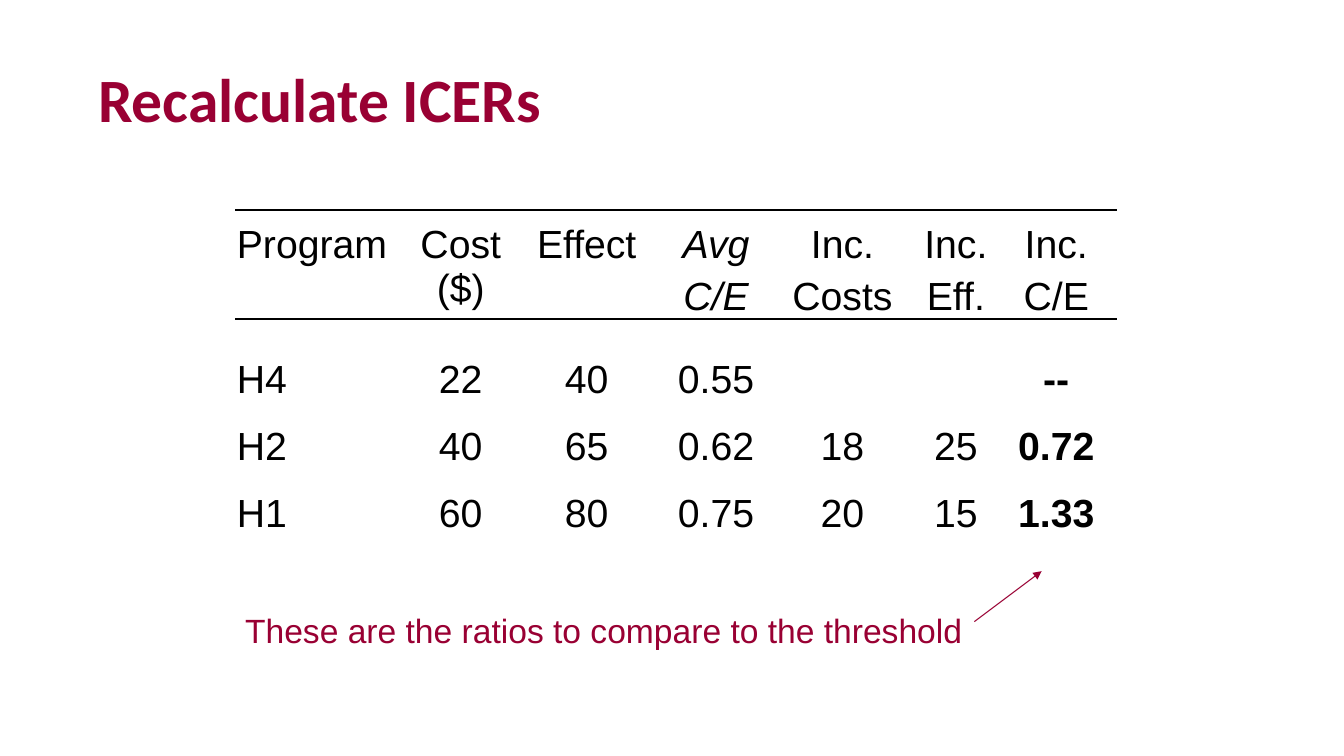
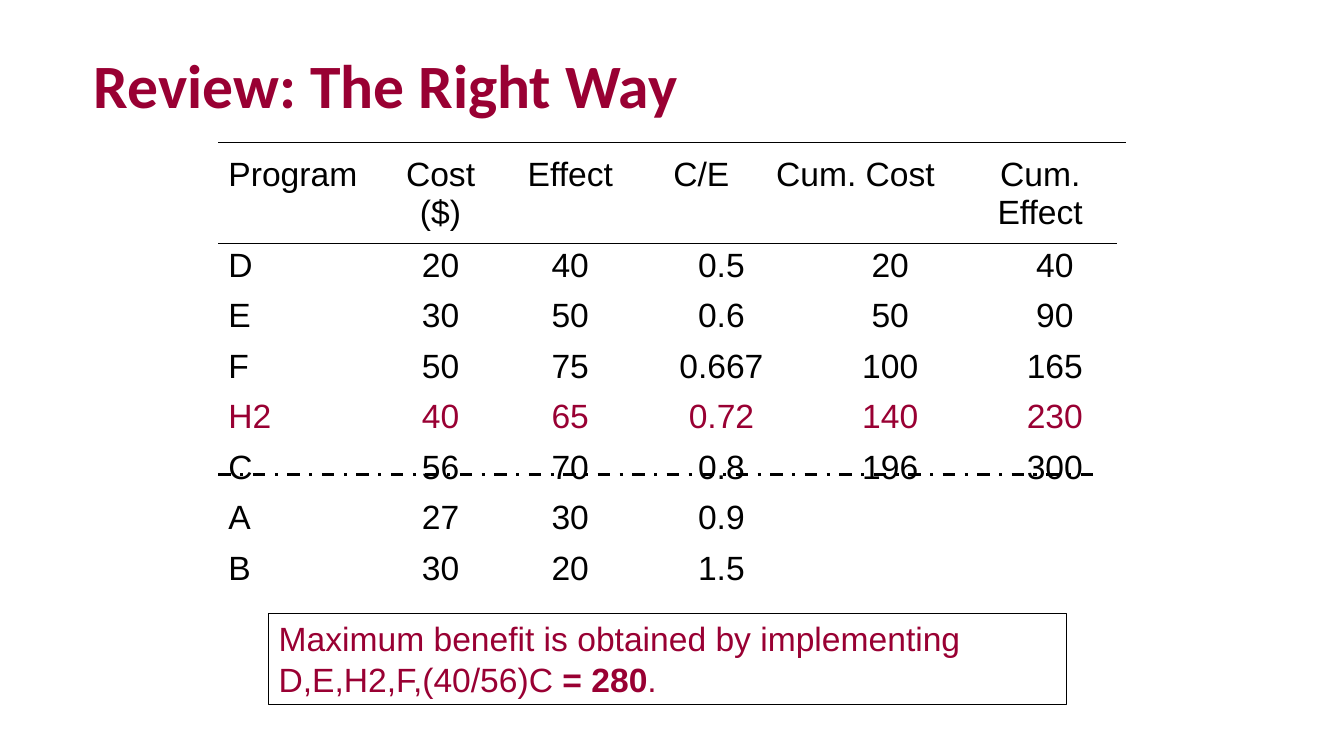
from lxml import etree
from pptx import Presentation
from pptx import util as u
from pptx.dml.color import RGBColor
from pptx.enum import dml, shapes, text
from pptx.oxml.ns import qn

WINE = RGBColor(0x99, 0x00, 0x33)
BLACK = RGBColor(0x00, 0x00, 0x00)
LEFT, MID = text.PP_ALIGN.LEFT, text.PP_ALIGN.CENTER
COLS, ROWS = 160, 90  # slide grid: square units of 1/12 inch


def unit(n):
    return u.Emu(round(n * u.Inches(1) / 12))


def write(frame, words, size=24, color=BLACK, font="Arial", bold=False,
          italic=False, align=LEFT, spacing=None):
    """Fill a frame; words is text with line ends, or (text, bold) runs."""
    frame.word_wrap = True
    paras = ([[(line, bold)] for line in words.split("\n")]
             if isinstance(words, str) else [words])
    for i, runs in enumerate(paras):
        para = frame.paragraphs[0] if i == 0 else frame.add_paragraph()
        para.alignment = align
        if spacing:
            para.line_spacing = spacing
        if i:
            para.space_before = u.Pt(round(size * 0.2, 1))
        for part, heavy in runs:
            run = para.add_run()
            run.text = part
            run.font.size, run.font.name = u.Pt(size), font
            run.font.bold, run.font.italic = heavy, italic
            run.font.color.rgb = color


def label(slide, box, words, anchor=text.MSO_ANCHOR.TOP, **style):
    shape = slide.shapes.add_textbox(*map(unit, box))
    shape.text_frame.vertical_anchor = anchor
    write(shape.text_frame, words, **style)
    return shape


def title(slide, box, words):
    label(slide, box, words, anchor=text.MSO_ANCHOR.MIDDLE, size=44,
          color=WINE, font="Calibri", bold=True, spacing=0.9)


def rule(slide, start, end, color=BLACK, width=1, dash=None, arrow=False):
    line = slide.shapes.add_connector(
        shapes.MSO_CONNECTOR.STRAIGHT, *map(unit, start + end))
    line.line.color.rgb = color
    line.line.width = u.Pt(width)
    if dash:
        line.line.dash_style = dash
    if arrow:
        etree.SubElement(line.line._get_or_add_ln(), qn("a:tailEnd"),
                         type="triangle")
    etree.SubElement(line._element.spPr, qn("a:effectLst"))


def table(slide, spot, cols, rows, data, spans, look, size):
    """Place a table; spans(r) gives cell widths, look(r, c) extra format."""
    box = (*spot, sum(cols), sum(rows))
    grid = slide.shapes.add_table(
        len(rows), len(cols), *map(unit, box)).table
    grid.first_row = grid.horz_banding = False
    for col, width in zip(grid.columns, cols):
        col.width = unit(width)
    for row, height in zip(grid.rows, rows):
        row.height = unit(height)
    for cell in grid.iter_cells():
        cell.fill.background()
    for r, words in enumerate(data):
        at = 0
        for c, (word, span) in enumerate(zip(words, spans(r))):
            cell = grid.cell(r, at)
            if span > 1:
                cell.merge(grid.cell(r, at + span - 1))
            if word:
                write(cell.text_frame, word, size=size,
                      align=MID if c else LEFT, **look(r, c))
            at += span


def ratios(slide):
    title(slide, (10.5, 7, 140, 10.5), "Recalculate ICERs")
    data = [
        ("Program", "Cost ($)", "Effect", "Avg\nC/E", "Inc.\nCosts",
         "Inc.\nEff.", "Inc.\nC/E"),
        ("H4", "22", "40", "0.55", "", "", "--"),
        ("H2", "40", "65", "0.62", "18", "25", "0.72"),
        ("H1", "60", "80", "0.75", "20", "15", "1.33"),
    ]
    table(slide, (27, 26), (21, 13.7, 16.3, 14.5, 15.6, 11.4, 12.5),
          (16, 8, 8, 8, 7), data, size=28,
          spans=lambda r: (1,) * 7,
          look=lambda r, c: {"italic": r == 0 and c == 3,
                             "bold": r > 0 and c == 6})
    for y in (25, 38):
        rule(slide, (28, y), (133, y))
    label(slide, (28, 72, 99, 6),
          "These are the ratios to compare to the threshold", color=WINE)
    rule(slide, (116, 74), (124, 68), color=WINE, width=0.75, arrow=True)


def review(slide):
    title(slide, (10, 4, 138, 13), "Review: The Right Way")
    data = [
        ("Program", "Cost ($)", "Effect", "C/E", "Cum. Cost", "Cum. Effect"),
        ("D", "20", "40", "0.5", "20", "40"),
        ("E", "30", "50", "0.6", "50", "90"),
        ("F", "50", "75", "0.667", "100", "165"),
        ("H2", "40", "65", "0.72", "140", "230"),
        ("C", "56", "70", "0.8", "196", "300"),
        ("A", "27", "30", "0.9", "", ""),
        ("B", "30", "20", "1.5", "", ""),
    ]
    table(slide, (26, 18), (19, 14.9, 16, 15.2, 4.8, 16.7, 3.5, 19),
          (10.8,) + (6,) * 6 + (7,), data, size=24,
          spans=lambda r: (1, 1, 1, 2, 2, 1) if r else (1, 1, 1, 1, 2, 2),
          look=lambda r, c: {"color": WINE if data[r][0] == "H2" else BLACK})
    rule(slide, (26, 29), (133, 29))
    rule(slide, (26, 17), (134, 17))
    note = label(slide, (32, 73, 95, 10.9),
                 [("Maximum benefit is obtained by implementing "
                   "D,E,H2,F,(40/56)C ", False),
                  ("= 280", True), (".", False)], color=WINE)
    note.line.color.rgb = BLACK
    note.line.width = u.Pt(0.75)
    rule(slide, (26, 56.5), (131, 56.5), width=2.25,
         dash=dml.MSO_LINE.DASH_DOT)


def main():
    deck = Presentation()
    deck.slide_width, deck.slide_height = unit(COLS), unit(ROWS)
    for build in (ratios, review):
        build(deck.slides.add_slide(deck.slide_layouts[6]))
    deck.save("out.pptx")


if __name__ == "__main__":
    main()
